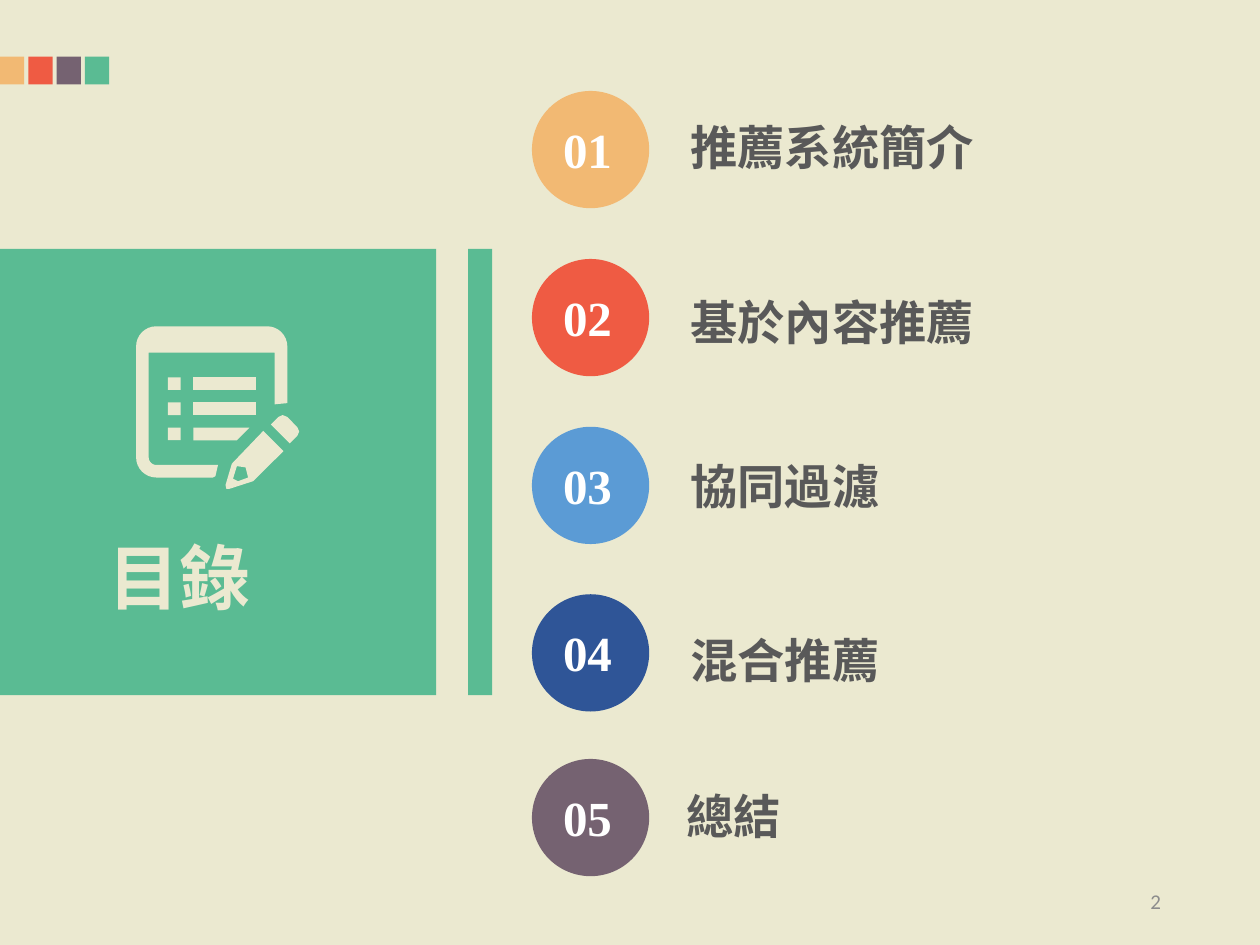
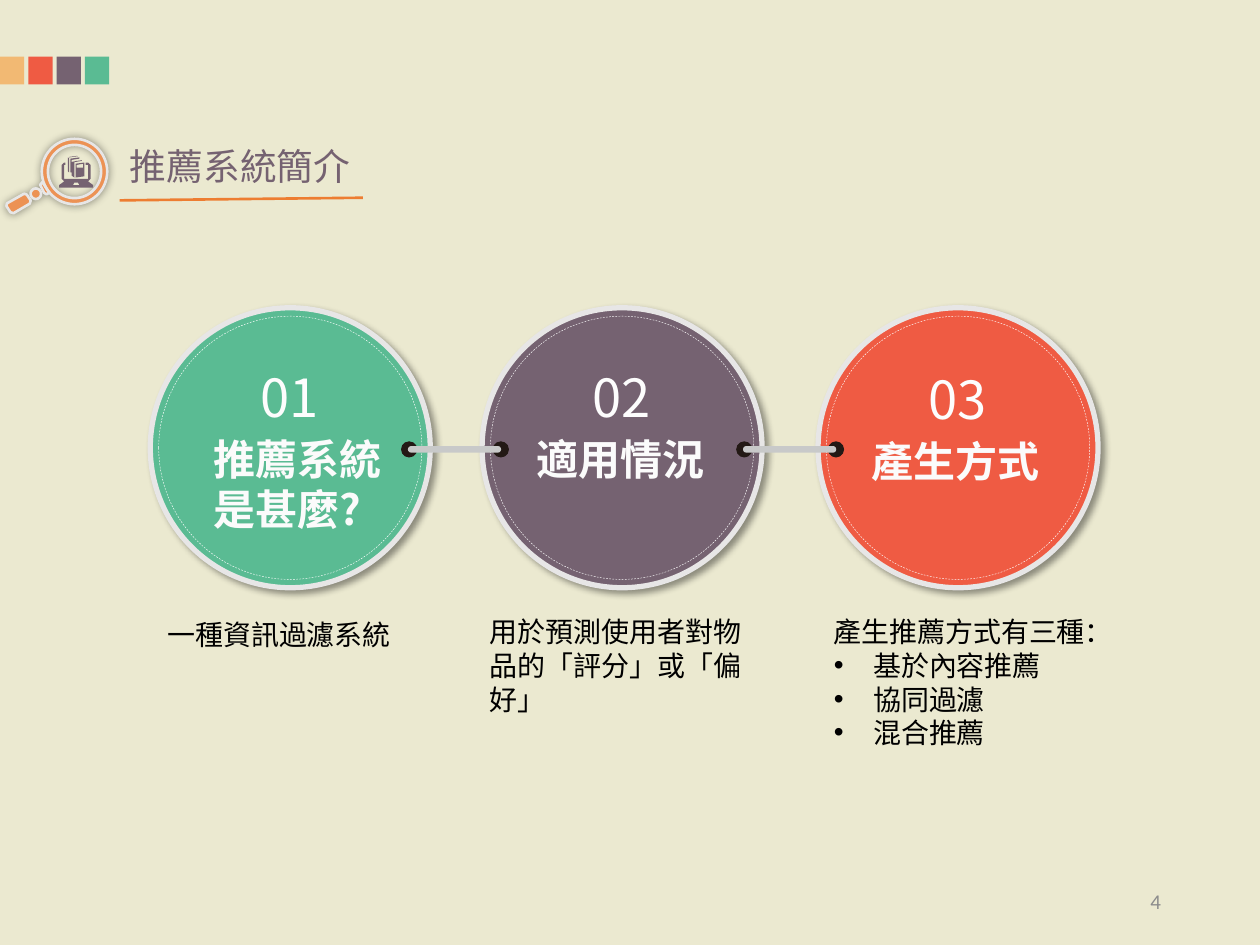
from dataclasses import dataclass
from math import cos, radians, sin

from lxml import etree
from pptx import Presentation
from pptx import util as u
from pptx.dml.color import RGBColor
from pptx.enum import dml, shapes, text
from pptx.oxml.ns import qn

Pt = u.Pt
KIND = shapes.MSO_SHAPE
ALIGN = text.PP_ALIGN


@dataclass(frozen=True)
class Theme:
    # Colours
    paper: str = "EBE9D0"
    sand: str = "F2B973"
    red: str = "EF5B43"
    plum: str = "756271"
    green: str = "5ABB93"
    blue: str = "5B9BD5"
    navy: str = "2F5597"
    lens: str = "EC9255"
    rule: str = "ED7D31"
    rim: str = "E7E6E6"
    stitch: str = "FEFEFE"
    pin: str = "231915"
    bar: str = "C8C9C9"
    gray: str = "595959"
    pale: str = "8C8C8C"
    white: str = "FFFFFF"
    black: str = "000000"
    # Fonts
    serif: str = "Times New Roman"
    sans: str = "Noto Sans CJK SC"
    plain: str = "Calibri"
    # Type sizes
    cover: float = 40.5
    item: float = 27
    badge: float = 28
    title: float = 21
    step: float = 30
    head: float = 24
    body: float = 16
    foot: float = 12


T = Theme()


def rgb(code):
    return RGBColor.from_string(code)


# Shapes
def shade(shape, blur, dist, angle):
    effects = shape._element.spPr.find(qn("a:effectLst"))
    outer = etree.SubElement(effects, qn("a:outerShdw"), blurRad=str(Pt(blur)),
                             dist=str(Pt(dist)), dir=str(angle * 60000))
    color = etree.SubElement(outer, qn("a:srgbClr"), val=T.black)
    etree.SubElement(color, qn("a:alpha"), val="40000")


def paint(shape, fill=None, line=None, width=1.0):
    if fill:
        shape.fill.solid()
        shape.fill.fore_color.rgb = rgb(fill)
    else:
        shape.fill.background()
    if line:
        shape.line.color.rgb = rgb(line)
        shape.line.width = Pt(width)
    else:
        shape.line.fill.background()
    shape.shadow.inherit = False
    return shape


def block(slide, kind, box, *style):
    return paint(slide.shapes.add_shape(kind, *map(Pt, box)), *style)


def outline(slide, loops, *style):
    first, *rest = [[(Pt(x), Pt(y)) for x, y in loop] for loop in loops]
    pen = slide.shapes.build_freeform(*first[0])
    pen.add_line_segments(first[1:], close=True)
    for loop in rest:
        pen.move_to(*loop[0])
        pen.add_line_segments(loop[1:], close=True)
    return paint(pen.convert_to_shape(), *style)


def arc(x, y, r, start, end, count=8):
    turns = [radians(start + (end - start) * i / count) for i in range(count + 1)]
    return [(x + r * cos(a), y + r * sin(a)) for a in turns]


# Text
def write(para, words, size, color, font=T.serif, bold=False):
    run = para.add_run()
    run.text = words
    run.font.size = Pt(size)
    run.font.name = font
    run.font.bold = bold
    run.font.color.rgb = rgb(color)
    if font != T.plain:
        etree.SubElement(run._r.get_or_add_rPr(), qn("a:ea"), typeface=T.sans)


def bullet(para):
    props = para._p.get_or_add_pPr()
    props.set("marL", str(Pt(22.5)))
    props.set("indent", str(Pt(-22.5)))
    etree.SubElement(props, qn("a:buFont"), typeface="Arial")
    etree.SubElement(props, qn("a:buChar"), char="•")


def label(slide, box, words, size, color, font=T.serif, bold=False,
          align=ALIGN.LEFT, wrap=True, points=()):
    frame = slide.shapes.add_textbox(*map(Pt, box)).text_frame
    frame.word_wrap = wrap
    para = frame.paragraphs[0]
    para.alignment = align
    write(para, words, size, color, font, bold)
    for point in points:
        para = frame.add_paragraph()
        bullet(para)
        write(para, point, size, color, font, bold)
    return frame


# Parts on both slides
def base(deck, number):
    slide = deck.slides.add_slide(deck.slide_layouts[6])
    slide.background.fill.solid()
    slide.background.fill.fore_color.rgb = rgb(T.paper)
    for i, color in enumerate((T.sand, T.red, T.plum, T.green)):
        block(slide, KIND.RECTANGLE, (16.2 * i, 32.4, 13.9, 15.9), color)
    frame = label(slide, (508.5, 500.5, 162, 28.75), number, T.foot, T.pale,
                  T.plain, align=ALIGN.RIGHT)
    frame.vertical_anchor = text.MSO_ANCHOR.MIDDLE
    return slide


# Contents slide
def notes(slide):
    sheet = [(124.6, 265.7), (123.1, 272.2), (121.7, 272.9),
             *arc(89.3, 261.4, 11.5, 90, 180), *arc(89.3, 198, 11.5, 180, 270),
             *arc(152.7, 198, 11.5, 270, 360), (164.2, 230.4), (157, 231.1),
             (157, 201.6), (85, 201.6), *arc(89.3, 261.4, 4.3, 180, 90)]
    pencil = [(150.5, 246.2), (162, 257.8), (144.7, 275), (131, 279.4),
              (129.4, 279.4), (128.9, 277.2), (132.5, 265)]
    tip = [(135.4, 266.4), (133.2, 273.6), (136.1, 275), (141.8, 272.9),
           (140.4, 267.1)]
    rubber = [(154.8, 242.6), (159.1, 238.3), (161.5, 237.2), (164.2, 238.3),
              (169.9, 244.1), (171, 246.6), (169.9, 249.1), (165.6, 253.4)]
    for loops in ([sheet], [pencil, tip], [rubber]):
        outline(slide, loops, T.paper)
    for row, (top, end) in enumerate(((146.3, 146.3), (146.3, 146.3), (142.6, 135.4))):
        y = 215.6 + 14.4 * row
        block(slide, KIND.RECTANGLE, (96, y, 7.2, 7.2), T.paper)
        outline(slide, [[(110.5, y), (top, y), (end, y + 7.2), (110.5, y + 7.2)]],
                T.paper)


def item(slide, number, words, color, top, left, high, wide):
    block(slide, KIND.OVAL, (304, top, 67, 67), color)
    label(slide, (304, top + 12.6, 63.4, 41), number, T.badge, T.white,
          bold=True, align=ALIGN.CENTER)
    label(slide, (left, high, wide, 40.3), words, T.item, T.gray,
          bold=True, wrap=False)


def contents(deck):
    slide = base(deck, "2")
    for left, wide in ((0, 249.3), (267.5, 13.7)):
        block(slide, KIND.RECTANGLE, (left, 142.3, wide, 255), T.green)
    notes(slide)
    label(slide, (54.7, 301.7, 149.8, 56), "目錄", T.cover, T.paper,
          bold=True, align=ALIGN.JUSTIFY)
    for row in (("01", "推薦系統簡介", T.sand, 52, 387.4, 64.1, 177.8),
                ("02", "基於內容推薦", T.red, 148, 387.4, 164.2, 177.8),
                ("03", "協同過濾", T.blue, 243.9, 387.4, 257.8, 123.8),
                ("04", "混合推薦", T.navy, 339.6, 387.4, 357.1, 123.8),
                ("05", "總結", T.plum, 433.7, 385.2, 446.4, 69.1)):
        item(slide, *row)


# Introduction slide
def lens(slide):
    x, y = 42.6, 98
    loops = [arc(x, y, 18.7, 0, 360, 60), arc(x, y, 15.2, 360, 0, 60),
             arc(20.5, 110.7, 3, 0, 360, 20),
             [(4, 116.2), (13.8, 110.7), (15.3, 111.2), (17.6, 114.6), (17, 116.4),
              (7.8, 121.8), (6, 121.3), (3.7, 117.8)],
             [(23, 105.6), (24.3, 104), (28.2, 110.2), (26.6, 111), (25.2, 110.2)]]
    shade(outline(slide, loops, T.lens, T.rim, 1.5), 5, 0, 0)
    laptop = [(36.7, 94.3), (37.4, 94.3), (37.4, 92.9), (36.7, 92.9), (35.3, 94.3),
              (35.3, 102.2), (36.7, 103.7), (33.8, 105.8), (33.8, 107.3),
              (53.3, 107.3), (53.3, 105.8), (50.4, 103.7), (51.8, 102.2),
              (51.8, 94.3), (50.4, 92.9), (49, 92.9), (49, 94.3), (50.4, 94.3),
              (50.4, 102.2), (36.7, 102.2)]
    pad = [(42.5, 104.4), (44.6, 104.4), (45.4, 105.8), (41.8, 105.8)]
    books = [[(38.9, 90), (39.6, 90.7), (39.6, 98.6), (38.9, 97.9)],
             [(39.6, 90), (44.6, 89.3), (44, 89.1), (39.6, 89.7)],
             [(40.3, 90.7), (45.4, 90), (45.4, 90.7), (41, 91.4), (41, 98.6),
              (40.3, 98.6)],
             [(41.8, 92.2), (42.5, 92.9), (42.5, 101.5), (41, 100.4), (41, 92.9)],
             [(42.5, 92.2), (46.8, 91.6), (46.8, 92), (42.5, 92.7)],
             [(43.2, 93.6), (48.2, 92.9), (48.2, 100.8), (43.2, 101.5)],
             [(43.9, 94.3), (47.5, 93.6), (47.5, 95.8), (43.9, 95.8)]]
    outline(slide, [laptop, pad, *books], T.plum)


def heading(slide, words):
    lens(slide)
    frame = label(slide, (74.2, 82.1, 133.2, 25.2), words, T.title, T.plum,
                  align=ALIGN.JUSTIFY)
    frame.margin_left = frame.margin_top = frame.margin_right = frame.margin_bottom = 0
    line = slide.shapes.add_connector(shapes.MSO_CONNECTOR.STRAIGHT,
                                      *map(Pt, (68.4, 114.5, 207.4, 113)))
    line.line.color.rgb = rgb(T.rule)
    line.line.width = Pt(1.5)
    etree.SubElement(line._element.spPr, qn("a:effectLst"))


def disc(slide, left, color, number, words, shift, drop, wide, wrap):
    top = 175.9
    shade(block(slide, KIND.OVAL, (left, top, 160, 160), color, T.rim, 3), 4, 3, 45)
    seam = block(slide, KIND.OVAL, (left + 4.8, top + 4.8, 150.4, 150.4),
                 None, T.stitch, 0.25)
    seam.line.dash_style = dml.MSO_LINE.DASH
    label(slide, (left + shift, top + 68.2 + drop, wide, 36), words, T.head, "FBFBFB",
          T.sans, bold=True, wrap=wrap)
    label(slide, (left + 55.8, top + 29.3 + drop, 50.4, 43.9), number, T.step,
          "FDFDFD", T.sans, wrap=False)


def link(slide, left):
    for x in (left, left + 52.4):
        block(slide, KIND.OVAL, (x, 252.5, 8.6, 8.6), T.pin, T.pin, 0.63)
    bar = block(slide, KIND.ROUNDED_RECTANGLE, (left + 3.6, 254.9, 53.3, 3.8), T.bar)
    bar.adjustments[0] = 0.5


def intro(deck):
    slide = base(deck, "4")
    heading(slide, "推薦系統簡介")
    for row in ((85.9, T.green, "01", "推薦系統是甚麼?", 29.3, 0, 125.3, True),
                (275.5, T.plum, "02", "適用情況", 24, 0, 111.6, False),
                (467.5, T.red, "03", "產生方式", 23.6, 1, 111.6, False)):
        disc(slide, *row)
    for left in (229.5, 421):
        link(slide, left)
    for box, words, points in (
            ((88.6, 349.2, 151.9, 26.6), "一種資訊過濾系統", ()),
            ((272.9, 347.8, 164.2, 65.5),
             "用於預測使用者對物品的「評分」或「偏好」", ()),
            ((469.4, 347.8, 162, 85), "產生推薦方式有三種：",
             ("基於內容推薦", "協同過濾", "混合推薦"))):
        label(slide, box, words, T.body, T.black, points=points)


def main():
    deck = Presentation()
    deck.slide_width, deck.slide_height = Pt(720), Pt(540)
    contents(deck)
    intro(deck)
    deck.save("out.pptx")


if __name__ == "__main__":
    main()
